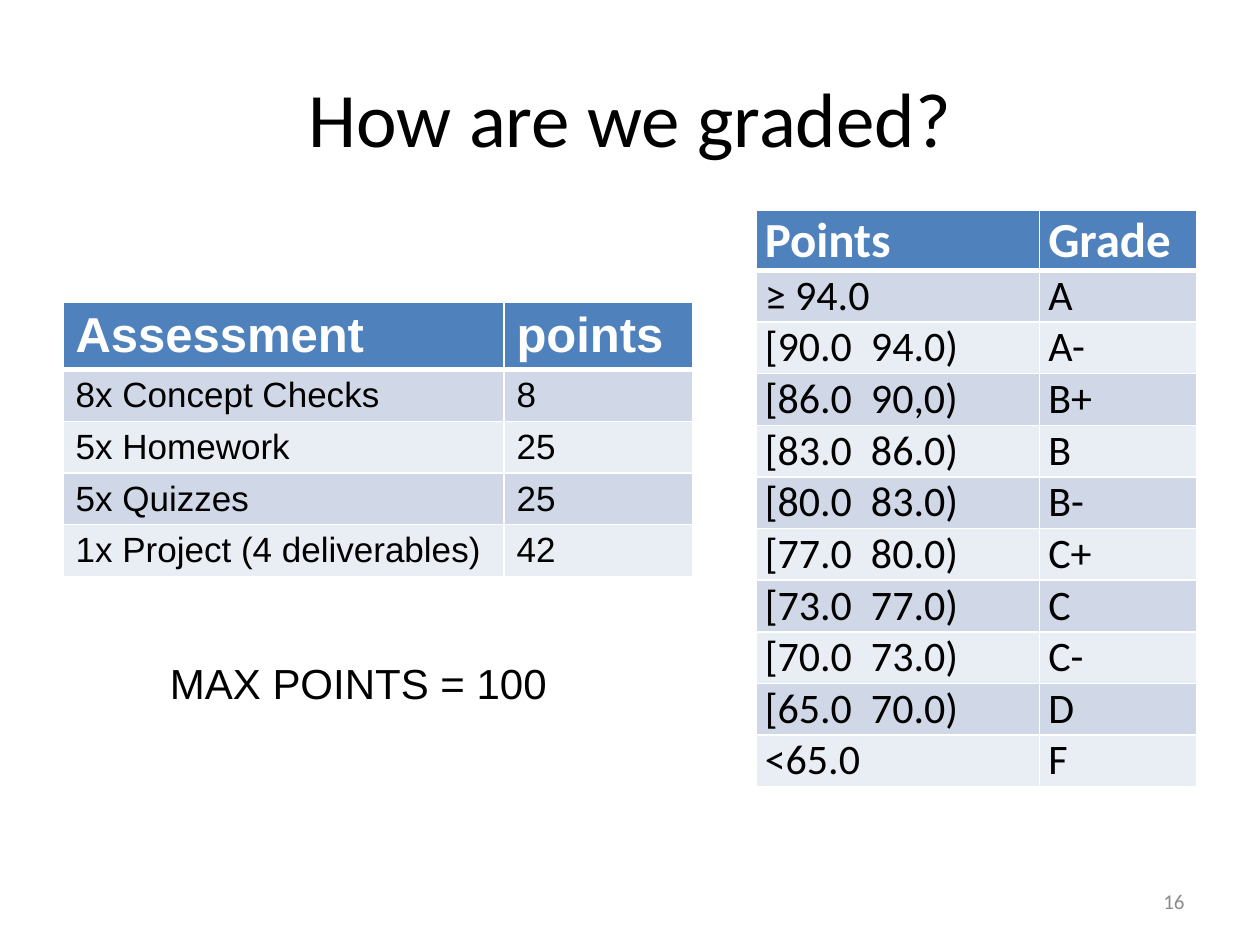
from lxml import etree
from pptx import Presentation, util as u
from pptx.dml.color import RGBColor
from pptx.enum import text
from pptx.oxml.ns import qn

BLACK, WHITE, GRAY = "000000", "FFFFFF", "8C8C8C"
HEADER_FILL, BAND_FILLS = "4F81BD", ("D0D8E8", "E9EDF4")
ROW_HEIGHT = 0.41
MARGIN = 0.5

ASSESSMENTS = [
    ("Assessment", "points"),
    ("8x Concept Checks", "8"),
    ("5x Homework", "25"),
    ("5x Quizzes", "25"),
    ("1x Project (4 deliverables)", "42"),
]
GRADES = [
    ("Points", "Grade"),
    ("≥ 94.0", "A"),
    ("[90.0  94.0)", "A-"),
    ("[86.0  90,0)", "B+"),
    ("[83.0  86.0)", "B"),
    ("[80.0  83.0)", "B-"),
    ("[77.0  80.0)", "C+"),
    ("[73.0  77.0)", "C"),
    ("[70.0  73.0)", "C-"),
    ("[65.0  70.0)", "D"),
    ("<65.0", "F"),
]


def color(hex_string):
    return RGBColor.from_string(hex_string)


def write(frame, words, font, size, hex_string, bold=False, align=text.PP_ALIGN.LEFT):
    frame.text = words
    paragraph = frame.paragraphs[0]
    paragraph.alignment = align
    for run in paragraph.runs:
        run.font.name = font
        run.font.size = u.Pt(size)
        run.font.bold = bold
        run.font.color.rgb = color(hex_string)


def place(shape, left, top, width, height):
    shape.left, shape.top = u.Inches(left), u.Inches(top)
    shape.width, shape.height = u.Inches(width), u.Inches(height)


def add_title(slide, words):
    title = slide.shapes.title
    place(title, MARGIN, 0.3, 9, 1.25)
    write(title.text_frame, words, "Calibri", 44, BLACK, align=text.PP_ALIGN.CENTER)
    title.text_frame.vertical_anchor = text.MSO_ANCHOR.MIDDLE


def add_label(slide, words, box, font, size, hex_string, wrap=True, **options):
    label = slide.shapes.add_textbox(*map(u.Inches, box))
    label.text_frame.word_wrap = wrap
    write(label.text_frame, words, font, size, hex_string, **options)
    return label


def set_borders(cell, widths):
    """Draw white borders, with widths in points by side (L, R, T, B)."""
    properties = cell._tc.get_or_add_tcPr()
    for side, width in widths.items():
        line = etree.SubElement(properties, qn(f"a:ln{side}"), w=str(u.Pt(width)))
        fill = etree.SubElement(line, qn("a:solidFill"))
        etree.SubElement(fill, qn("a:srgbClr"), val=WHITE)


def add_grid(slide, rows, left, top, widths, font, body_size, insets=None):
    """Add a banded table; insets are the (side, top) cell margins in inches."""
    frame = slide.shapes.add_table(
        len(rows), len(widths), u.Inches(left), u.Inches(top),
        u.Inches(sum(widths)), u.Inches(ROW_HEIGHT * len(rows)))
    table = frame.table
    for column, width in zip(table.columns, widths):
        column.width = u.Inches(width)
    for row_index, values in enumerate(rows):
        header = row_index == 0
        table.rows[row_index].height = u.Inches(ROW_HEIGHT)
        borders = {"L": 1, "R": 1, "T": 3 if row_index == 1 else 1, "B": 3 if header else 1}
        for column_index, value in enumerate(values):
            cell = table.cell(row_index, column_index)
            if insets:
                cell.margin_left = cell.margin_right = u.Inches(insets[0])
                cell.margin_top = cell.margin_bottom = u.Inches(insets[1])
            set_borders(cell, borders)
            cell.fill.solid()
            cell.fill.fore_color.rgb = color(
                HEADER_FILL if header else BAND_FILLS[(row_index - 1) % 2])
            write(cell.text_frame, value, font, 28 if header else body_size,
                  WHITE if header else BLACK, bold=header)


def main():
    presentation = Presentation()
    presentation.slide_width, presentation.slide_height = u.Inches(10), u.Inches(7.5)
    slide = presentation.slides.add_slide(presentation.slide_layouts[5])

    add_title(slide, "How are we graded?")
    add_grid(slide, ASSESSMENTS, MARGIN, 2.4, (3.5, 1.5), "Arial", 20)
    add_grid(slide, GRADES, 6, 1.67, (2.25, 1.25), "Calibri", 24, insets=(0.07, 0))
    total = add_label(slide, "MAX POINTS = 100", (1.25, 5.17, 3.22, 0.5),
                      "Arial", 24, BLACK, wrap=False)
    total.text_frame.auto_size = text.MSO_AUTO_SIZE.SHAPE_TO_FIT_TEXT
    number = add_label(slide, "16", (7.17, 6.95, 2.33, 0.4), "Calibri", 12, GRAY,
                       align=text.PP_ALIGN.RIGHT)
    number.text_frame.vertical_anchor = text.MSO_ANCHOR.MIDDLE

    presentation.save("out.pptx")


if __name__ == "__main__":
    main()
